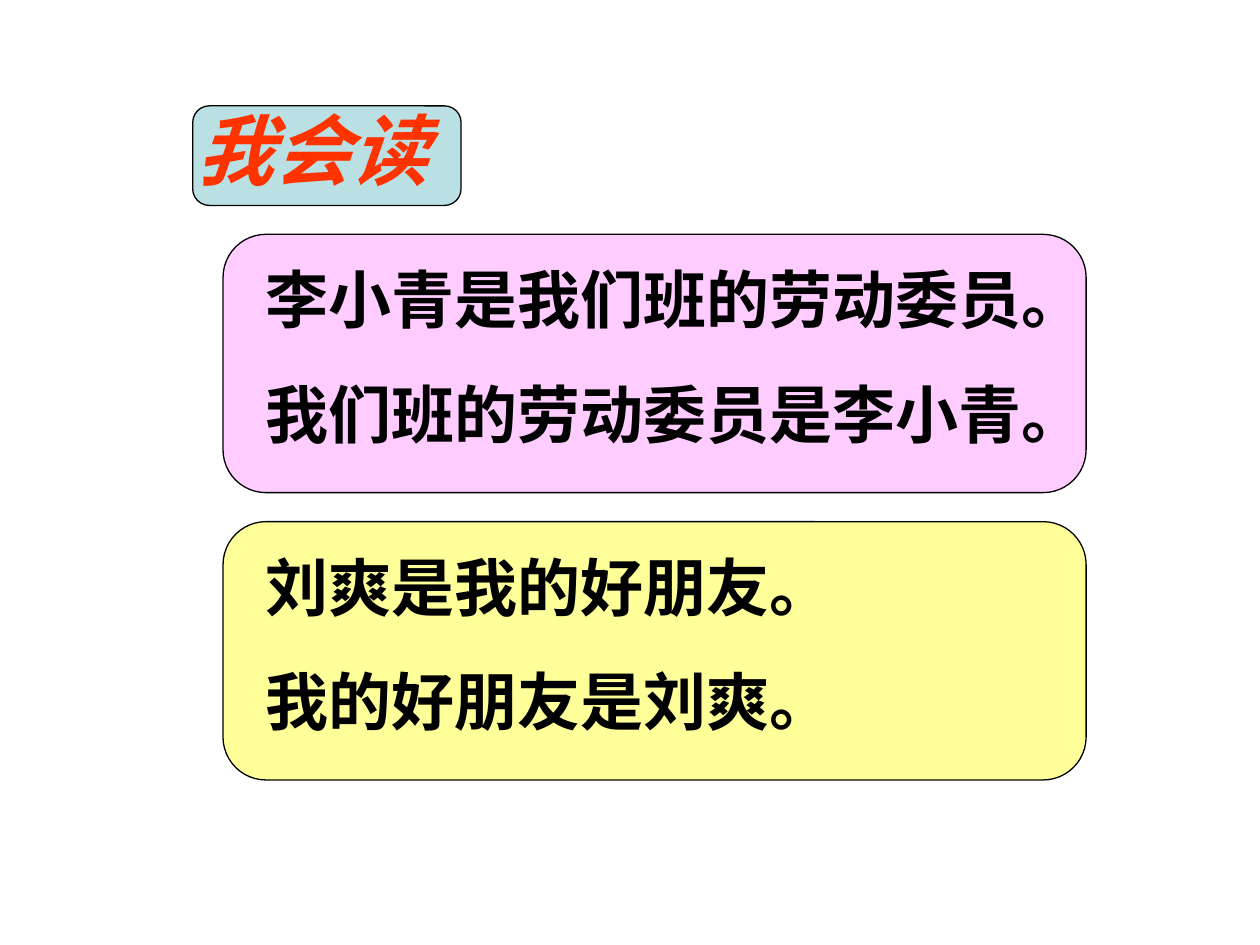
from pptx import Presentation
from pptx.dml.color import RGBColor
from pptx.enum.shapes import MSO_SHAPE
from pptx.enum.text import MSO_ANCHOR, MSO_AUTO_SIZE, PP_ALIGN
from pptx.util import Inches, Pt

THEME = {
    "font": "Arial",
    "title_size": 44, "body_size": 36,
    "title": "FF3300", "text": "000000", "line": "000000",
    "badge": "BBE0E3", "pink": "FFCCFF", "yellow": "FFFF99",
}

prs = Presentation()
prs.slide_width, prs.slide_height = Inches(10), Inches(7.5)
s = prs.slides.add_slide(prs.slide_layouts[5])


def add_panel(left, top, width, height, color):
    sp = s.shapes.add_shape(MSO_SHAPE.ROUNDED_RECTANGLE, Inches(left),
                            Inches(top), Inches(width), Inches(height))
    sp.shadow.inherit = False
    sp.fill.solid()
    sp.fill.fore_color.rgb = RGBColor.from_string(THEME[color])
    sp.line.color.rgb = RGBColor.from_string(THEME["line"])
    sp.line.width = Pt(0.75)


def write_lines(sp, lines, size, color, italic=None):
    tf = sp.text_frame
    frame_format = {"word_wrap": True, "auto_size": MSO_AUTO_SIZE.NONE,
                    "vertical_anchor": MSO_ANCHOR.TOP}
    for name, value in frame_format.items():
        setattr(tf, name, value)
    font_format = {"name": THEME["font"], "size": Pt(THEME[size]),
                   "bold": True, "italic": italic}
    for i, line in enumerate(lines):
        p = tf.add_paragraph() if i else tf.paragraphs[0]
        p.alignment = PP_ALIGN.LEFT
        p.space_before = Pt(22.5 if i else 0)
        r = p.add_run()
        r.text = line
        for name, value in font_format.items():
            setattr(r.font, name, value)
        r.font.color.rgb = RGBColor.from_string(THEME[color])


# Title on its badge, brought in front of it
add_panel(1.53, 0.84, 2.13, 0.79, "badge")
title = s.shapes.title
title.left, title.top = Inches(1.46), Inches(0.76)
title.width, title.height = Inches(2.13), Inches(0.84)
write_lines(title, ["我会读"], "title_size", "title", italic=True)
s.shapes.element.append(title.element)

# Sentence pairs, one panel each
pairs = [
    ("pink", 6.77, ["李小青是我们班的劳动委员。", "我们班的劳动委员是李小青。"]),
    ("yellow", 6.22, ["刘爽是我的好朋友。", "我的好朋友是刘爽。"]),
]
for i, (color, width, sentences) in enumerate(pairs):
    top = 1.86 + 2.28 * i
    add_panel(1.77, top, 6.85, 2.05, color)
    box = s.shapes.add_textbox(Inches(2.01), Inches(top + 0.16),
                               Inches(width), Inches(1.62))
    write_lines(box, sentences, "body_size", "text")

prs.save("out.pptx")
